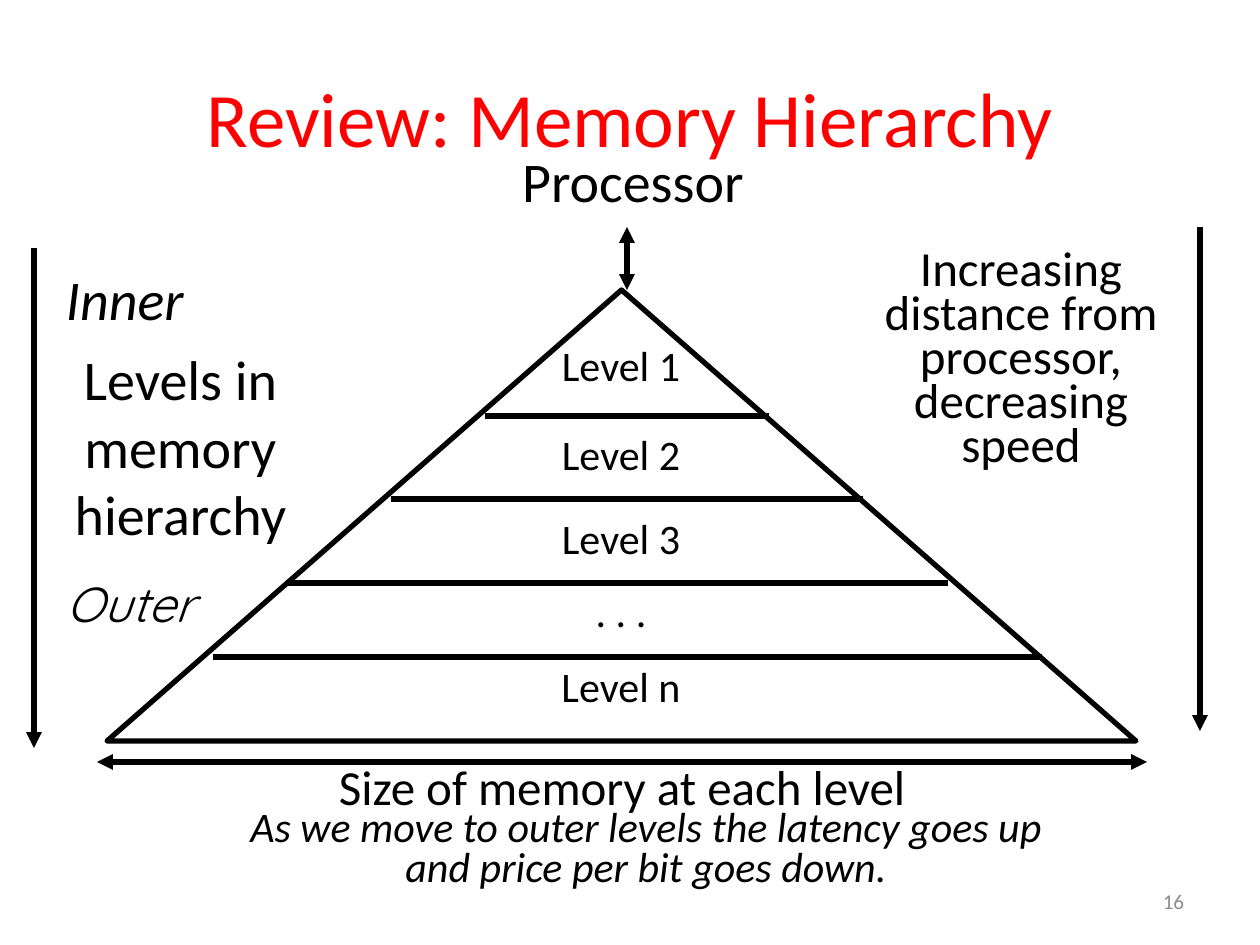
import pptx
import pptx.dml.color
import pptx.enum.shapes
import pptx.enum.text
import pptx.util
from lxml import etree

EMU_PER_PX = 914400 / 126
BLACK, RED, GRAY = "000000", "FF0000", "8C8C8C"
ALIGN = pptx.enum.text.PP_ALIGN
ANCHOR = pptx.enum.text.MSO_ANCHOR
DEFAULT_INSETS = (13, 6)
TIGHT_INSETS = (9, 4)


def emu(px):
    return pptx.util.Emu(round(px * EMU_PER_PX))


def color(hex_string):
    return pptx.dml.color.RGBColor.from_string(hex_string)


def add_text(slide, box, text, size, fill=BLACK, font="Calibri", italic=False,
             align=ALIGN.CENTER, anchor=ANCHOR.TOP, spacing=None,
             insets=DEFAULT_INSETS, wrap=True):
    shape = slide.shapes.add_textbox(*map(emu, box))
    frame = shape.text_frame
    frame.word_wrap = wrap
    frame.vertical_anchor = anchor
    frame.margin_left = frame.margin_right = emu(insets[0])
    frame.margin_top = frame.margin_bottom = emu(insets[1])
    paragraph = frame.paragraphs[0]
    paragraph.text = text
    paragraph.alignment = align
    paragraph.line_spacing = spacing
    paragraph.font.name = font
    paragraph.font.size = pptx.util.Pt(size)
    paragraph.font.italic = italic
    paragraph.font.color.rgb = color(fill)


def add_label(slide, box, text, size):
    """Add a centred diagram label with tight lines and insets."""
    add_text(slide, box, text, size, spacing=0.75, insets=TIGHT_INSETS)


def add_line(slide, start, end, arrows=()):
    """Add a thick line; arrows may hold "headEnd" (start) and "tailEnd" (end)."""
    connector = slide.shapes.add_connector(
        pptx.enum.shapes.MSO_CONNECTOR.STRAIGHT, *map(emu, (*start, *end)))
    connector.line.color.rgb = color(BLACK)
    connector.line.width = pptx.util.Pt(3)
    line = connector.line._get_or_add_ln()
    for arrow in arrows:
        etree.SubElement(line, pptx.oxml.ns.qn(f"a:{arrow}"), type="triangle")
    etree.SubElement(connector._element.spPr, pptx.oxml.ns.qn("a:effectLst"))


def add_processor(slide, box):
    left, top, width, height = box
    add_label(slide, (left, top, width, 60), "Processor", 32)
    middle = left + width // 2 - 6
    add_line(slide, (middle, top + height), (middle, top + 69),
             ("headEnd", "tailEnd"))


def add_pyramid(slide, box):
    left, top, width, height = box
    triangle = slide.shapes.add_shape(
        pptx.enum.shapes.MSO_SHAPE.ISOSCELES_TRIANGLE, *map(emu, box))
    triangle.shadow.inherit = False
    triangle.fill.background()
    triangle.line.color.rgb = color(BLACK)
    triangle.line.width = pptx.util.Pt(3)

    label_width = 210
    label_left = left + (width - label_width) // 2
    labels = [("Level 1", 57), ("Level 2", 146), ("Level 3", 230),
              (". . .", 303), ("Level n", 378)]
    for text, offset in labels:
        add_label(slide, (label_left, top + offset, label_width, 48), text, 24)

    dividers = [(126, 378, 662), (209, 284, 756), (293, 179, 841), (367, 106, 935)]
    for offset, start, end in dividers:
        add_line(slide, (left + start, top + offset), (left + end, top + offset))


def add_level_axis(slide, box):
    left, top, width, height = box
    add_line(slide, (left, top), (left, top + height), ("tailEnd",))
    add_text(slide, (left + 19, top + 10, 158, 81), "Inner", 32, italic=True,
             align=ALIGN.LEFT, wrap=False)
    add_text(slide, (left - 1, top + 91, width, 217),
             "Levels in memory hierarchy", 32)
    add_text(slide, (left + 19, top + 319, 161, 72), "Outer", 28, font="Quicksand",
             italic=True, align=ALIGN.LEFT, wrap=False)


def add_distance_axis(slide, box):
    left, top, width, height = box
    add_label(slide, (left, top + 20, 336, 232),
              "Increasing distance from processor,\vdecreasing speed", 28)
    add_line(slide, (left + width, top), (left + width, top + height), ("tailEnd",))


def add_size_axis(slide, box):
    left, top, width, height = box
    add_line(slide, (left, top), (left + width, top), ("headEnd", "tailEnd"))
    add_label(slide, (left + 84, top + 4, 882, height - 4),
              "Size of memory at each level", 28)


def main():
    presentation = pptx.Presentation()
    presentation.slide_width = emu(1260)
    presentation.slide_height = emu(945)
    slide = presentation.slides.add_slide(presentation.slide_layouts[6])

    add_text(slide, (63, 38, 1134, 158), "Review: Memory Hierarchy", 44, RED,
             anchor=ANCHOR.MIDDLE)
    add_processor(slide, (87, 158, 1092, 132))
    add_size_axis(slide, (97, 762, 1050, 58))
    add_distance_axis(slide, (853, 227, 347, 504))
    add_pyramid(slide, (107, 290, 1029, 451))
    add_level_axis(slide, (34, 248, 295, 500))
    add_text(slide, (158, 804, 976, 96),
             "As we move to outer levels the latency goes up\v"
             "and price per bit goes down.", 24, italic=True, spacing=0.8)
    add_text(slide, (903, 876, 294, 50), "16", 12, GRAY, align=ALIGN.RIGHT,
             anchor=ANCHOR.MIDDLE)
    presentation.save("out.pptx")


if __name__ == "__main__":
    main()
